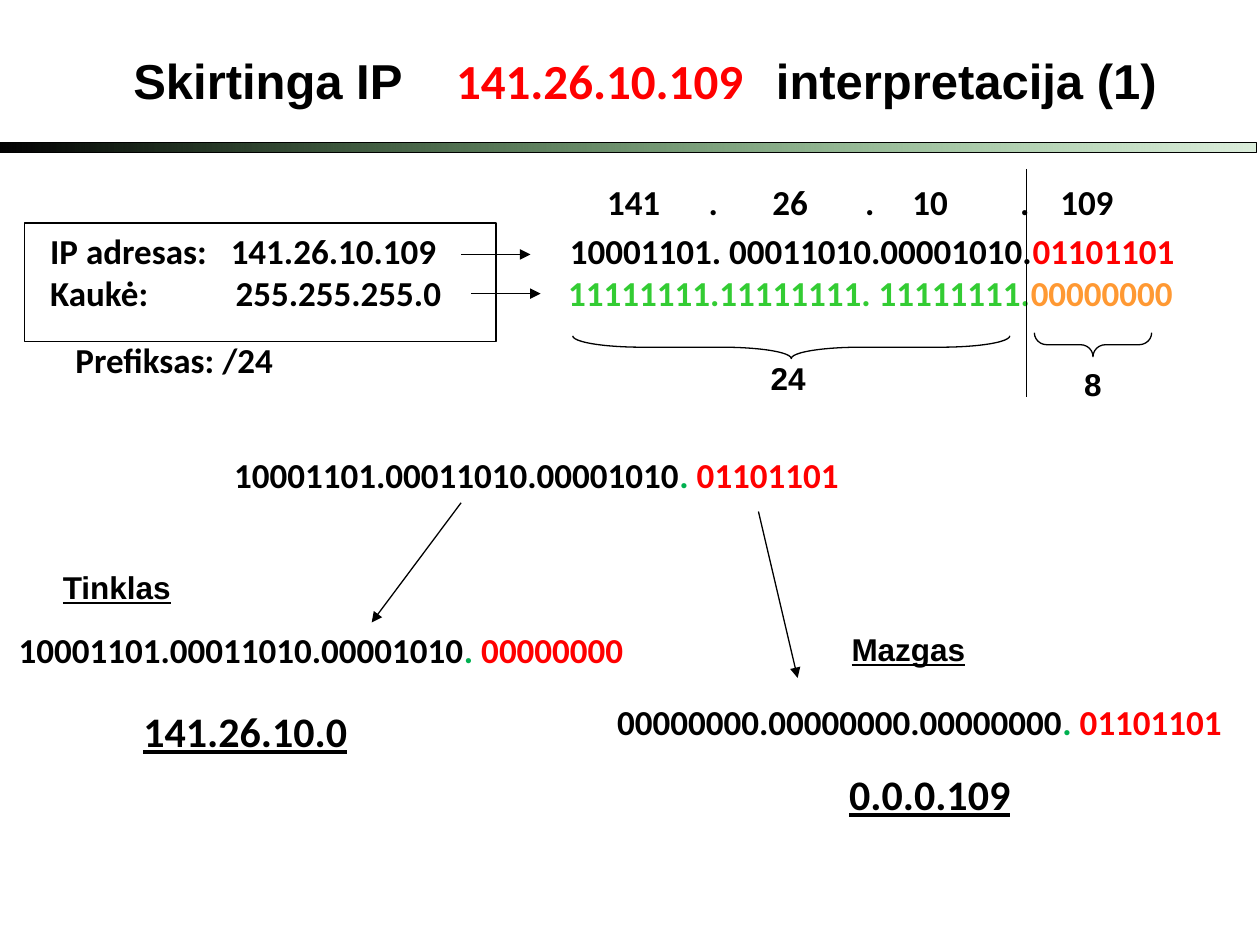
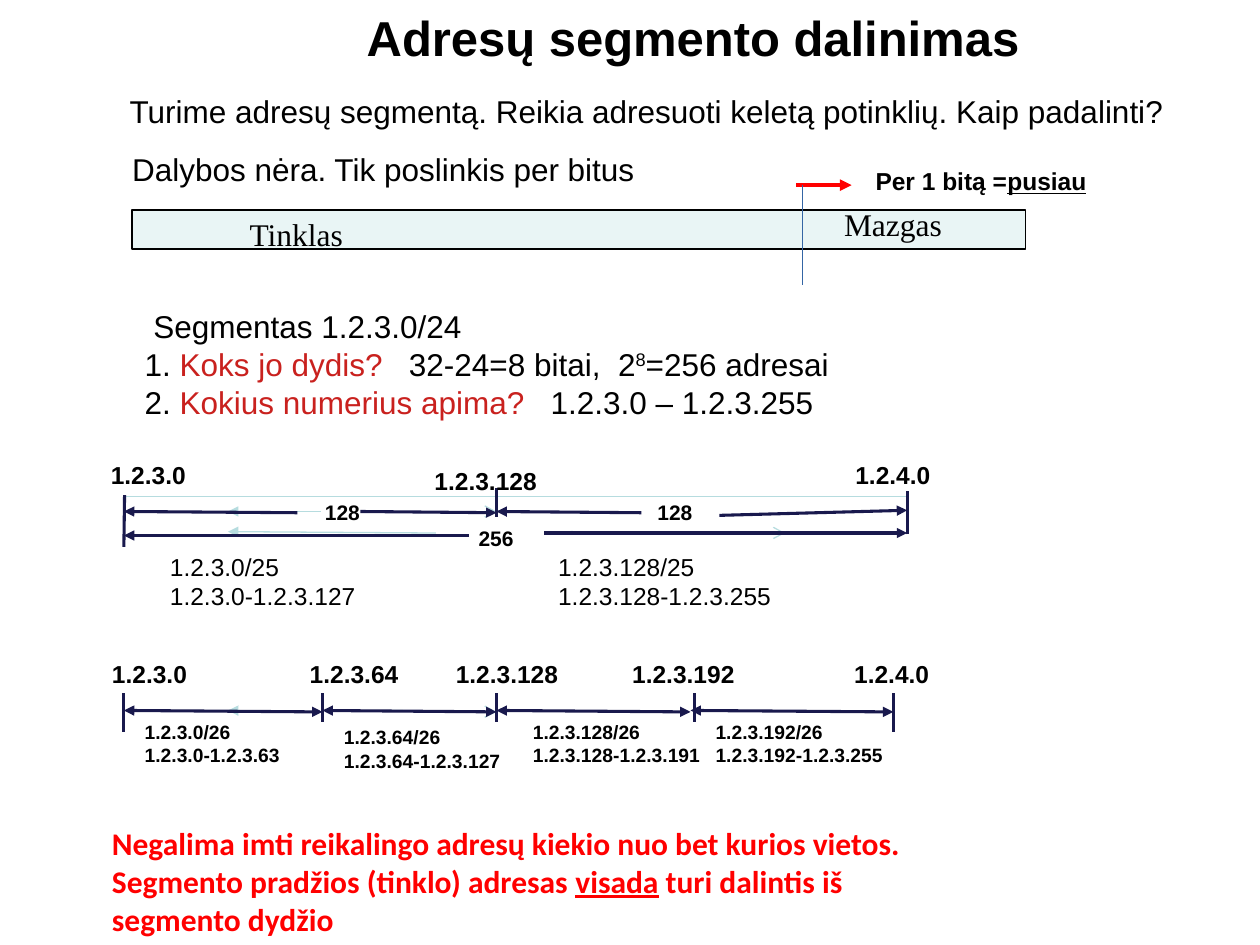
from dataclasses import dataclass
from typing import NamedTuple

from lxml.etree import SubElement
from pptx import Presentation
from pptx.dml.color import RGBColor
from pptx.enum.shapes import MSO_CONNECTOR, MSO_SHAPE
from pptx.enum.text import MSO_ANCHOR, MSO_AUTO_SIZE as AUTO, PP_ALIGN
from pptx.oxml.ns import qn
from pptx.util import Pt

COLORS = {
    "black": "000000", "red": "FF0000", "green": "00B050", "lime": "33CC33",
    "orange": "FF9933", "question": "C9211E", "band": "008000",
    "segment": "BBE0E3", "pale": "B6DCDF", "navy": "19194D", "blue": "3465A4",
}
STROKES = {  # colour and width of each kind of line
    "thin": ("black", 0.75), "pale": ("pale", 0.75), "axis": ("navy", 1.75),
    "border": ("blue", 0.75), "shift": ("red", 2.25),
}
TITLE = dict(size=28, bold=True)
CODE = dict(size=20, font="Calibri", bold=True)
CALLOUT = dict(size=18, bold=True)
TICK = dict(size=14, bold=True, wrap=False)
COUNT = dict(size=12, bold=True, wrap=False)


class Span(NamedTuple):
    text: str
    color: str = "black"
    font: str = ""
    underline: bool = False
    raised: bool = False


class Stroke(NamedTuple):
    x1: float
    y1: float
    x2: float
    y2: float
    kind: str = "thin"
    head: str = ""
    tail: str = ""


@dataclass
class Note:
    x: float
    y: float
    w: float
    h: float
    paragraphs: list[list[Span]]
    size: float = 18
    font: str = "Arial"
    bold: bool = False
    align: PP_ALIGN = PP_ALIGN.LEFT
    wrap: bool = True
    inset: tuple[float, float] = (7.2, 3.6)
    tabs: tuple[tuple[float, ...], ...] = ()
    indents: tuple[float, ...] = ()


def rgb(name: str) -> RGBColor:
    return RGBColor.from_string(COLORS[name])


def plain(*lines: str, underline: bool = False) -> list[list[Span]]:
    return [[Span(line, underline=underline)] for line in lines]


def set_alpha(fill_element, percent: int) -> None:
    color = next(fill_element.iter(qn("a:srgbClr")))
    SubElement(color, qn("a:alpha")).set("val", str(percent * 1000))


def write_run(paragraph, span: Span, note: Note) -> None:
    run = paragraph.add_run()
    run.text = span.text
    font = run.font
    font.name, font.size, font.bold = span.font or note.font, Pt(note.size), note.bold
    font.underline = span.underline
    font.color.rgb = rgb(span.color)
    if span.raised:
        font._element.set("baseline", "33000")


def set_tabs(paragraph, stops: tuple[float, ...]) -> None:
    stop_list = SubElement(paragraph._p.get_or_add_pPr(), qn("a:tabLst"))
    for stop in stops:
        tab = SubElement(stop_list, qn("a:tab"))
        tab.set("pos", str(Pt(stop)))
        tab.set("algn", "l")


def draw_note(slide, note: Note) -> None:
    box = slide.shapes.add_textbox(Pt(note.x), Pt(note.y), Pt(note.w), Pt(note.h))
    frame = box.text_frame
    frame.word_wrap = note.wrap
    frame.auto_size = AUTO.NONE if note.wrap else AUTO.SHAPE_TO_FIT_TEXT
    side, edge = note.inset
    frame.margin_left = frame.margin_right = Pt(side)
    frame.margin_top = frame.margin_bottom = Pt(edge)
    for index, spans in enumerate(note.paragraphs):
        paragraph = frame.add_paragraph() if index else frame.paragraphs[0]
        paragraph.alignment = note.align
        if index < len(note.tabs) and note.tabs[index]:
            set_tabs(paragraph, note.tabs[index])
        if index < len(note.indents):
            paragraph._p.get_or_add_pPr().set("marL", str(Pt(note.indents[index])))
        for span in spans:
            write_run(paragraph, span, note)


def draw_stroke(slide, stroke: Stroke) -> None:
    line = slide.shapes.add_connector(
        MSO_CONNECTOR.STRAIGHT, Pt(stroke.x1), Pt(stroke.y1), Pt(stroke.x2), Pt(stroke.y2))
    color, width = STROKES[stroke.kind]
    line.line.color.rgb = rgb(color)
    line.line.width = Pt(width)
    for tag, ending in (("a:headEnd", stroke.head), ("a:tailEnd", stroke.tail)):
        if ending:
            SubElement(line.line._ln, qn(tag)).set("type", ending)
    SubElement(line._element.spPr, qn("a:effectLst"))


def draw_outline(slide, kind: MSO_SHAPE, x: float, y: float, w: float, h: float,
                 width: float = 0.75):
    """Add an unfilled black-lined shape and return it."""
    shape = slide.shapes.add_shape(kind, Pt(x), Pt(y), Pt(w), Pt(h))
    shape.shadow.inherit = False
    shape.fill.background()
    shape.line.color.rgb = rgb("black")
    shape.line.width = Pt(width)
    return shape


def draw_brace(slide, x: float, y: float, w: float, h: float, curve: float) -> None:
    """Draw a brace that lies under the span x to x + w and points down."""
    brace = draw_outline(slide, MSO_SHAPE.LEFT_BRACE,
                         x + (w - h) / 2, y + (h - w) / 2, h, w)
    brace.rotation = 270
    brace.adjustments[0] = curve
    brace.adjustments[1] = 0.5


def draw_title_band(slide) -> None:
    band = draw_outline(slide, MSO_SHAPE.RECTANGLE, -2, 81.4, 720, 5.8)
    band.fill.gradient()
    band.fill.gradient_angle = 180
    start, end = band.fill.gradient_stops
    start.color.rgb, start.position = rgb("band"), 0
    end.color.rgb, end.position = rgb("black"), 1
    set_alpha(band._element.spPr, 14)


def bits(x: float, y: float, w: float, network: str, host: str) -> Note:
    spans = [Span(network), Span(".", "green"), Span(" " + host, "red")]
    return Note(x, y, w, 31.7, [spans], **CODE)


def build_interpretation(slide) -> None:
    draw_title_band(slide)
    draw_outline(slide, MSO_SHAPE.RECTANGLE, 14.2, 127.4, 269.3, 67.7)
    draw_brace(slide, 327.3, 191.9, 249.8, 13, 3.035)
    draw_brace(slide, 591.1, 190.1, 67, 13.7, 0.521)

    network, host = "10001101.00011010.00001010", "01101101"
    empty = "00000000"
    address = [Span("IP adresas:\t141.26.10.109\t10001101. 00011010.00001010."),
               Span(host, "red")]
    mask = [Span("Kaukė:\t255.255.255.0\t"),
            Span("11111111.11111111. 11111111.", "lime"), Span(empty, "orange")]
    result = dict(size=24, font="Calibri", bold=True, wrap=False)
    heading = dict(CALLOUT, wrap=False)
    count = dict(CALLOUT, align=PP_ALIGN.CENTER, inset=(0, 0))
    notes = [
        Note(69.1, 25.2, 625, 41, [[
            Span("Skirtinga IP\t"), Span("141.26.10.109\t", "red", "Calibri"),
            Span("interpretacija (1)")]], tabs=((184.4, 367.2),), **TITLE),
        Note(339.8, 99.4, 326, 55.4, plain("141\t.\t26\t.\t10\t.\t109"),
             tabs=((58, 94.5, 147.5, 174.5, 236, 259),), **CODE),
        Note(21.6, 127.4, 689, 56.2, [address, mask],
             tabs=((103.2, 297), (106, 296)), **CODE),
        Note(36, 190.1, 133.2, 31.7, plain("Prefiksas: /24"), wrap=False, **CODE),
        Note(421.2, 205.2, 58.3, 21.6, plain("24"), **count),
        Note(595.4, 208.8, 58.3, 21.6, plain("8"), **count),
        bits(126.7, 255.6, 467.3, network, host),
        bits(3.6, 355.7, 365, network, empty),
        bits(345.6, 396.7, 365, ".".join([empty] * 3), host),
        Note(28.8, 321.1, 77, 28.8, plain("Tinklas", underline=True), **heading),
        Note(479.5, 356.4, 79.9, 28.8, plain("Mazgas", underline=True), **heading),
        Note(74.9, 399.6, 131.8, 36, plain("141.26.10.0", underline=True), **result),
        Note(478.1, 435.6, 107.3, 36, plain("0.0.0.109", underline=True), **result),
    ]
    for note in notes:
        draw_note(slide, note)

    draw_stroke(slide, Stroke(586.8, 96.5, 586.8, 226.8))
    for ends in ((269.3, 167.8, 308.9, 167.8), (263.5, 145.4, 303.1, 145.4),
                 (263.5, 287.3, 212.4, 355.7), (433.4, 292.3, 455.8, 387.4)):
        draw_stroke(slide, Stroke(*ends, tail="triangle"))


def draw_segment_bar(slide) -> None:
    bar = draw_outline(slide, MSO_SHAPE.RECTANGLE, 75.6, 120.2, 510.5, 22.3, width=1)
    bar.fill.solid()
    bar.fill.fore_color.rgb = rgb("segment")
    set_alpha(bar._element.spPr, 32)
    frame = bar.text_frame
    frame.vertical_anchor = MSO_ANCHOR.MIDDLE
    frame.margin_left, frame.margin_top, frame.margin_bottom = Pt(67), Pt(5), Pt(0)
    paragraph = frame.paragraphs[0]
    paragraph.alignment = PP_ALIGN.LEFT
    write_run(paragraph, Span("Tinklas"), Note(0, 0, 0, 0, [], font="Times New Roman"))


def build_halves(slide) -> None:
    """Draw the axis of the segment cut in two."""
    left, middle, right = 70.8, 283.7, 518.4
    tri = "triangle"
    strokes = [
        Stroke(left, 283.7, right, 283.7, "pale"),
        Stroke(326.2, 303.8, 448.6, 304.6, "pale", tail="arrow"),
        Stroke(222.5, 292.3, middle, 292.3, "pale", tail="arrow"),
        Stroke(130.3, 303.8, 249.1, 304.6, "pale", head=tri),
        Stroke(130.3, 292.3, 183.6, 292.3, "pale", head=tri),
        Stroke(left, 312.5, left + 0.4, 283, "axis"),
        Stroke(middle, 295.2, middle, 278.6, "axis"),
        Stroke(right, 305.3, right, 280.8, "axis"),
        Stroke(left, 306, 267.8, 306, "axis", head=tri),
        Stroke(311, 304.6, right, 304.6, "axis", tail=tri),
        Stroke(left, 292.3, 169.9, 293, "axis", head=tri),
        Stroke(205.9, 292.3, middle, 293, "axis", tail=tri),
        Stroke(middle, 292.3, 366.5, 293, "axis", head=tri),
        Stroke(411.1, 294.5, right, 291.6, "axis", tail=tri),
    ]
    for stroke in strokes:
        draw_stroke(slide, stroke)
    for x, y, w, label in ((56.2, 259.2, 60, "1.2.3.0"), (241.2, 262.8, 75, "1.2.3.128"),
                           (481.7, 259.2, 60, "1.2.4.0")):
        draw_note(slide, Note(x, y, w, 24.5, plain(label), **TICK))
    for x, y, label in ((178.6, 282.2, "128"), (368.6, 282.2, "128"), (266.4, 296.6, "256")):
        draw_note(slide, Note(x, y, 36, 21.6, plain(label), **COUNT))
    for x, prefix, span in ((90, "1.2.3.0/25", "1.2.3.0-1.2.3.127"),
                            (311.8, "1.2.3.128/25", "1.2.3.128-1.2.3.255")):
        draw_note(slide, Note(x, 311.8, 179.3, 40.3, plain(prefix, span), size=14))


def build_quarters(slide) -> None:
    """Draw the axis of the segment cut in four."""
    ticks = [70.8, 184.3, 283.7, 396.7, 510.5]
    draw_stroke(slide, Stroke(222.5, 406, ticks[2], 406.8, "pale", tail="arrow"))
    draw_stroke(slide, Stroke(130.3, 406, ticks[1], 406.8, "pale", head="triangle"))
    for index, x in enumerate(ticks):
        bottom = 418.3 if index in (0, len(ticks) - 1) else 412.6
        draw_stroke(slide, Stroke(x, 396, x, bottom, "axis"))
    joints = [*ticks[:3], 394.6, ticks[4]]
    for start, end in zip(joints, joints[1:]):
        draw_stroke(slide, Stroke(start, 406, end, 406.8, "axis", "triangle", "triangle"))
    for x, w, label in ((56.9, 60, "1.2.3.0"), (169.9, 68, "1.2.3.64"),
                        (253.4, 75, "1.2.3.128"), (354.2, 75, "1.2.3.192"),
                        (481, 60, "1.2.4.0")):
        draw_note(slide, Note(x, 373, w, 24.5, plain(label), **TICK))
    for x, y, w, prefix, span in (
            (75.6, 408.2, 108, "1.2.3.0/26", "1.2.3.0-1.2.3.63"),
            (189.4, 411.1, 108, "1.2.3.64/26", "1.2.3.64-1.2.3.127"),
            (297.4, 408.2, 113, "1.2.3.128/26", "1.2.3.128-1.2.3.191"),
            (401.8, 408.2, 122.4, "1.2.3.192/26", "1.2.3.192-1.2.3.255")):
        draw_note(slide, Note(x, y, w, 46, plain(prefix, span), size=11, bold=True))


def build_division(slide) -> None:
    draw_segment_bar(slide)
    draw_stroke(slide, Stroke(455, 105.8, 486.7, 105.8, "shift", tail="triangle"))
    draw_stroke(slide, Stroke(458.6, 105.8, 458.6, 162.7, "border"))
    questions = [
        [Span("Segmentas 1.2.3.0/24")],
        [Span("1. "), Span("Koks jo dydis?", "question"), Span("\t32-24=8 bitai,\t2"),
         Span("8", raised=True), Span("=256 adresai")],
        [Span("2. "), Span("Kokius numerius apima?", "question"),
         Span("\t1.2.3.0 – 1.2.3.255")],
    ]
    rule = [
        [Span("Negalima imti reikalingo adresų kiekio nuo bet kurios vietos.", "red")],
        [Span("Segmento pradžios (tinklo) adresas ", "red"),
         Span("visada", "red", underline=True),
         Span(" turi dalintis iš segmento dydžio", "red")],
    ]
    notes = [
        Note(36, 3.6, 720, 35.3, plain("Adresų segmento dalinimas"),
             align=PP_ALIGN.CENTER, inset=(0.7, 0.7), **TITLE),
        Note(67, 49, 610.6, 28.8, wrap=False, paragraphs=plain(
            "Turime adresų segmentą. Reikia adresuoti keletą potinklių. Kaip padalinti?")),
        Note(68.4, 82.1, 319.7, 28.8, plain("Dalybos nėra. Tik poslinkis per bitus"),
             wrap=False),
        Note(493.2, 91.4, 137, 24.5,
             [[Span("Per 1 bitą ="), Span("pusiau", underline=True)]], **TICK),
        Note(475.2, 113.8, 82.8, 28.8, plain("Mazgas"), font="Times New Roman"),
        Note(75.6, 172.1, 434.2, 72, questions,
             tabs=((), (151, 270.5), (232,)), indents=(5,)),
        Note(56.9, 467.3, 506.2, 50.4, rule, font="Calibri", bold=True),
    ]
    for note in notes:
        draw_note(slide, note)
    build_halves(slide)
    build_quarters(slide)


def main() -> None:
    deck = Presentation()
    deck.slide_width, deck.slide_height = Pt(720), Pt(540)
    for build in (build_interpretation, build_division):
        build(deck.slides.add_slide(deck.slide_layouts[6]))
    deck.save("out.pptx")


if __name__ == "__main__":
    main()
